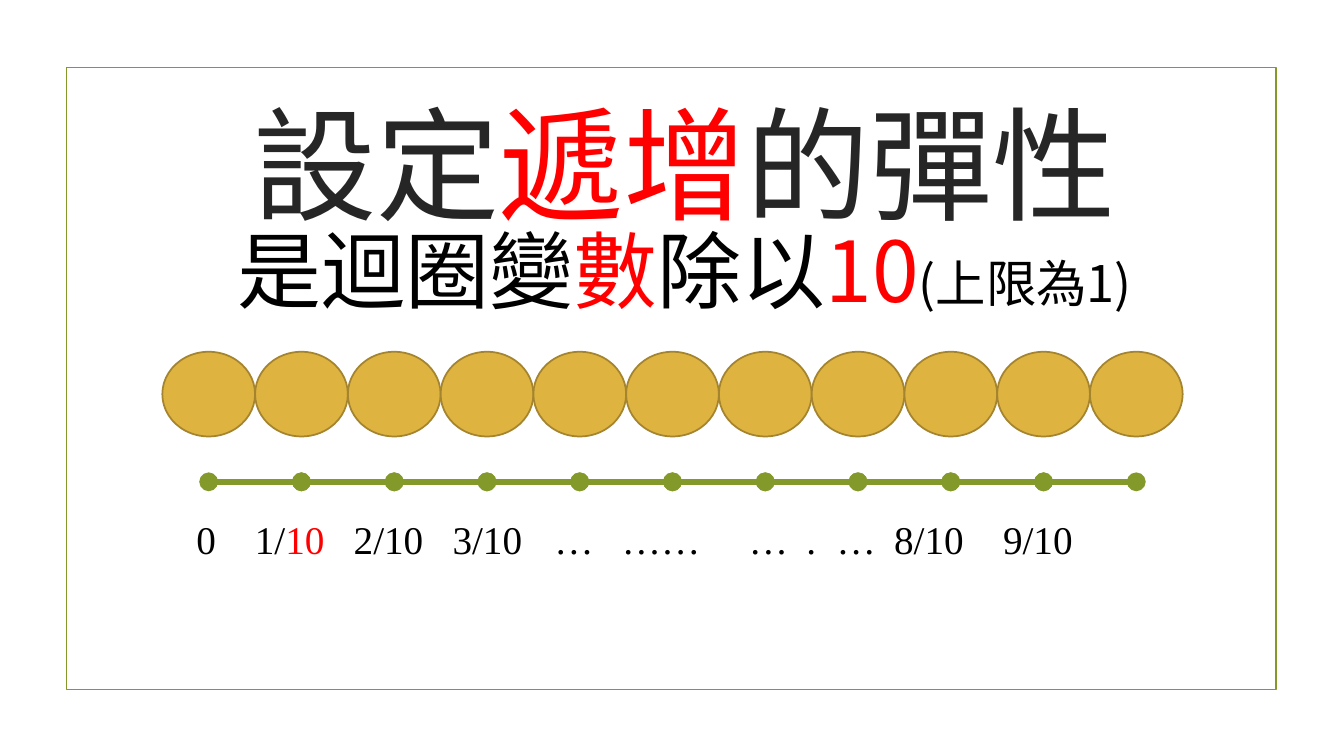
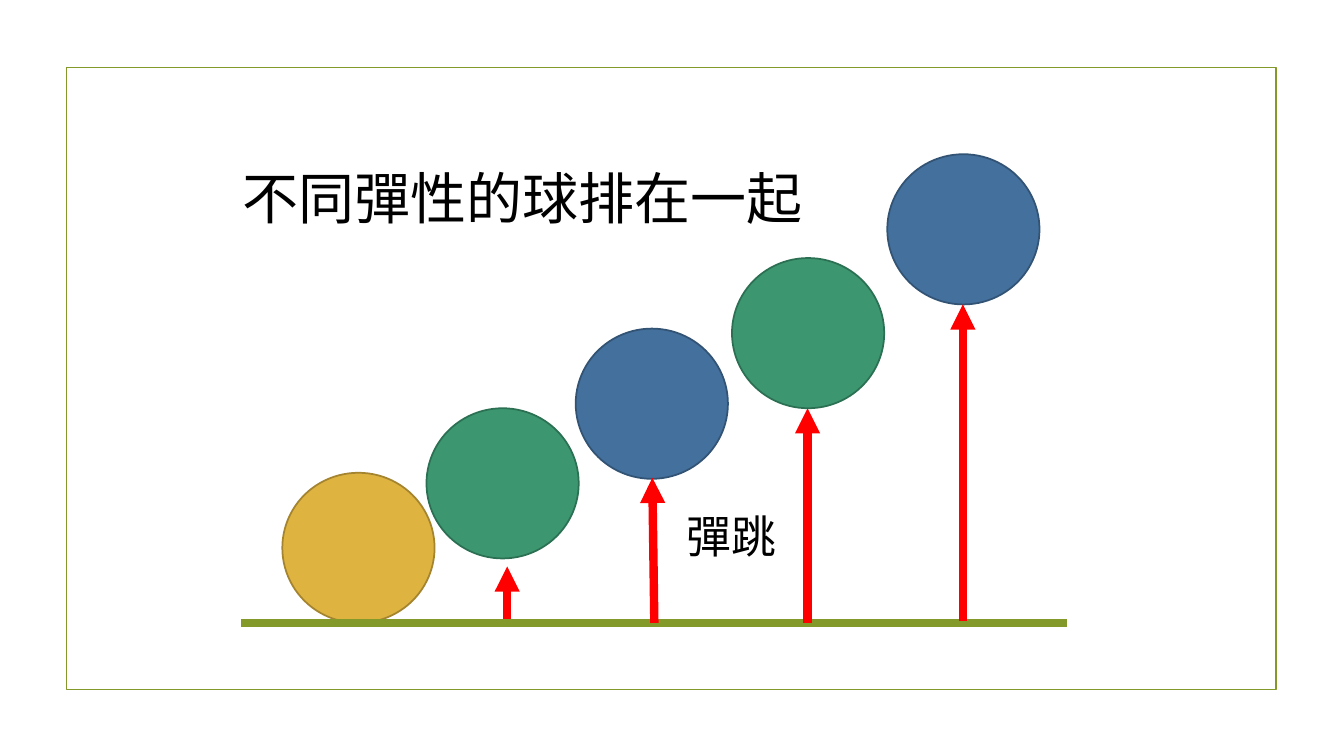
from dataclasses import dataclass

from lxml.etree import SubElement
from pptx import Presentation
from pptx.dml.color import RGBColor as Rgb
from pptx.enum.shapes import MSO_CONNECTOR as Link, MSO_SHAPE as Shape
from pptx.enum.text import MSO_ANCHOR as Anchor, MSO_AUTO_SIZE as Fit, PP_ALIGN as Align
from pptx.oxml.ns import qn
from pptx.util import Inches, Pt

HUES = {
    "olive": "83992A", "ink": "000000", "dark": "262626", "red": "FF0000",
    "gold": "DEB340", "gold rim": "A4842F",
    "green": "3C9770", "green rim": "2C7053",
    "blue": "44709D", "blue rim": "325374",
}
SANS, SERIF = "Noto Sans CJK SC", "Times New Roman"
FLOOR = 6.18
BALL_W, BALL_H = 1.51, 1.49
STEP = 0.92
STEPS = 10


@dataclass
class Part:
    text: str
    hue: str
    size: int


@dataclass
class Ball:
    left: float
    top: float
    hue: str
    foot: tuple[float, float] | None = None
    tip: tuple[float, float] | None = None


HEAD = [
    [Part("設定", "dark", 88), Part("遞增", "red", 88), Part("的彈性", "dark", 88)],
    [Part("是迴圈變", "ink", 60), Part("數", "red", 60), Part("除以", "ink", 60),
     Part("10", "red", 60), Part("(上限為1)", "ink", 36)],
]
MARKS = [
    Part("0\t1/", "ink", 28), Part("10", "red", 28),
    Part("\t2/10\t3/10\t…\t……\t…\t.\t…\t8/10\t9/10", "ink", 28),
]
TABS = [0.58, 1.56, 2.54, 3.55, 4.22, 5.48, 6.05, 6.35, 6.92, 8]
BALLS = [
    Ball(2.8, 4.69, "gold"),
    Ball(4.23, 4.05, "green", (5.03, 6.14), (5.03, 5.62)),
    Ball(5.71, 3.26, "blue", (6.49, FLOOR), (6.47, 4.74)),
    Ball(7.26, 2.56, "green", (8.01, FLOOR), (8.01, 4.05)),
    Ball(8.8, 1.53, "blue", (9.55, 6.16), (9.55, 3.02)),
]


def tint(name: str) -> Rgb:
    return Rgb.from_string(HUES[name])


def place(shape, left: float, top: float, width: float, height: float) -> None:
    shape.left, shape.top = Inches(left), Inches(top)
    shape.width, shape.height = Inches(width), Inches(height)


def style(para, face: str, size: int, hue: str = "ink") -> None:
    """Set the paragraph's font, with the sans face for Chinese text."""
    font = para.font
    font.name, font.size = face, Pt(size)
    font.color.rgb = tint(hue)
    base = para._p.pPr.find(qn("a:defRPr"))
    base.find(qn("a:latin")).addnext(SubElement(base, qn("a:ea"), typeface=SANS))


def write(para, parts: list[Part]) -> None:
    for part in parts:
        run = para.add_run()
        run.text = part.text
        run.font.size = Pt(part.size)
        run.font.color.rgb = tint(part.hue)


def label(slide, left: float, top: float, width: float, height: float):
    box = slide.shapes.add_textbox(
        Inches(left), Inches(top), Inches(width), Inches(height))
    box.text_frame.word_wrap = True
    return box.text_frame.paragraphs[0]


def title(slide, left: float, top: float, width: float, height: float,
          anchor: Anchor, align: Align):
    box = slide.shapes.title
    place(box, left, top, width, height)
    frame = box.text_frame
    frame.auto_size, frame.vertical_anchor = Fit.NONE, anchor
    para = frame.paragraphs[0]
    para.alignment = align
    return para


def disc(slide, left: float, top: float, width: float, height: float, hue: str) -> None:
    oval = slide.shapes.add_shape(
        Shape.OVAL, Inches(left), Inches(top), Inches(width), Inches(height))
    oval.shadow.inherit = False
    oval.fill.solid()
    oval.fill.fore_color.rgb = tint(hue)
    oval.line.color.rgb = tint(f"{hue} rim")
    oval.line.width = Pt(1.25)


def stroke(slide, start: tuple[float, float], end: tuple[float, float], hue: str,
           width: float, head: str = "none", tail: str = "none") -> None:
    line = slide.shapes.add_connector(
        Link.STRAIGHT, *(Inches(v) for v in (*start, *end)))
    line.line.color.rgb = tint(hue)
    line.line.width = Pt(width)
    props = line._element.spPr
    rule = props.find(qn("a:ln"))
    SubElement(rule, qn("a:headEnd"), type=head)
    SubElement(rule, qn("a:tailEnd"), type=tail)
    SubElement(props, qn("a:effectLst"))


def border(slide) -> None:
    """Draw the frame and hand it to the layout that all slides share."""
    rect = slide.shapes.add_shape(
        Shape.RECTANGLE, Inches(0.66), Inches(0.67), Inches(12), Inches(6.17))
    rect.shadow.inherit = False
    rect.fill.background()
    rect.line.color.rgb = tint("olive")
    rect.line.width = Pt(1.25)
    slide.slide_layout.shapes._spTree.insert(2, rect._element)


def scale(slide) -> None:
    """Build the slide with the row of balls over a scale in tenths."""
    para = title(slide, 1.09, 0.81, 11.4, 2.68, Anchor.MIDDLE, Align.CENTER)
    para.line_spacing = 0.82
    style(para, SANS, 88)
    for row, parts in enumerate(HEAD):
        if row:
            para.add_line_break()
        write(para, parts)

    first, level = 2.07, 4.78
    for i in range(STEPS):
        left = first + i * STEP
        stroke(slide, (left, level), (left + STEP, level), "olive", 4.5, "oval", "oval")

    marks = label(slide, 1.85, 5.06, 9.6, 0.61)
    style(marks, SERIF, 28)
    write(marks, MARKS)
    stops = SubElement(marks._p.pPr, qn("a:tabLst"))
    for stop in TABS:
        SubElement(stops, qn("a:tab"), pos=str(Inches(stop)), algn="l")
    marks._p.pPr.find(qn("a:defRPr")).addprevious(stops)

    for i in range(STEPS + 1):
        disc(slide, first - STEP / 2 + i * STEP, 3.49, STEP, 0.84, "gold")


def bounce(slide) -> None:
    """Build the slide with balls that jump to different heights."""
    para = title(slide, 2.31, 1.57, 6.86, 0.84, Anchor.TOP, Align.LEFT)
    style(para, SERIF, 40)
    para.text = "不同彈性的球排在一起"
    for ball in BALLS:
        disc(slide, ball.left, ball.top, BALL_W, BALL_H, ball.hue)
    stroke(slide, (2.39, FLOOR), (10.58, FLOOR), "olive", 6)
    for ball in BALLS:
        if ball.foot and ball.tip:
            stroke(slide, ball.foot, ball.tip, "red", 6, tail="triangle")
    note = label(slide, 6.71, 5, 1.2, 0.71)
    style(note, SERIF, 32)
    note.text = "彈跳"


def main() -> None:
    deck = Presentation()
    deck.slide_width, deck.slide_height = Inches(13.33), Inches(7.5)
    layout = deck.slide_layouts[5]
    for i, build in enumerate((scale, bounce)):
        slide = deck.slides.add_slide(layout)
        if i == 0:
            border(slide)
        build(slide)
    deck.save("out.pptx")


if __name__ == "__main__":
    main()
